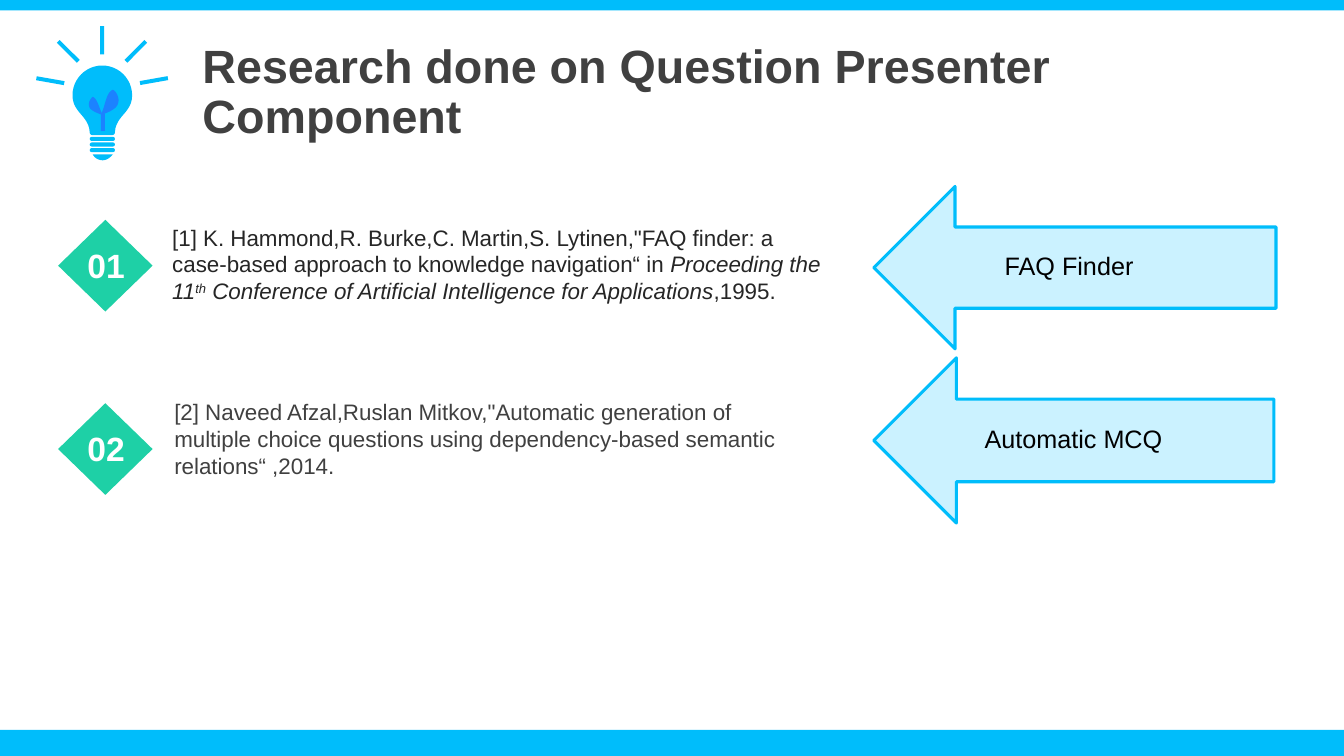
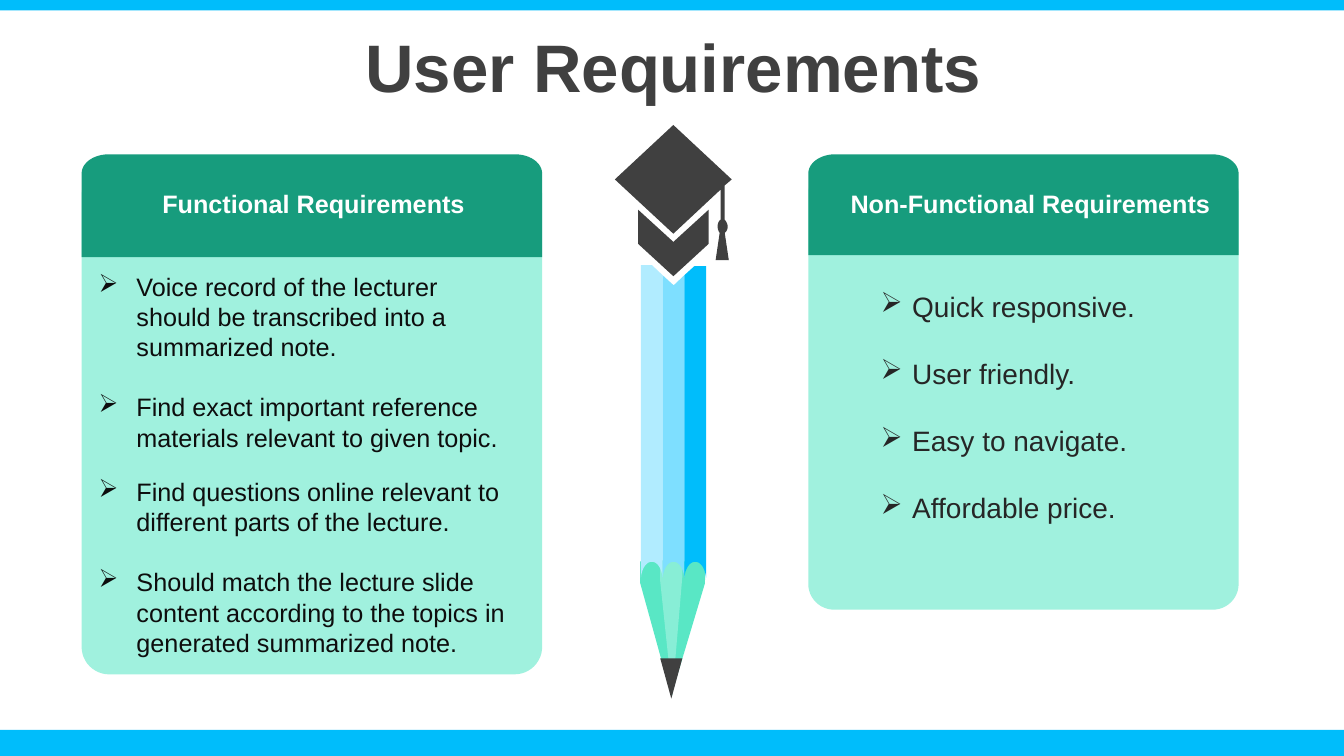
from pptx import Presentation
from pptx.dml.color import RGBColor
from pptx.enum.shapes import MSO_SHAPE
from pptx.enum.text import MSO_ANCHOR, PP_ALIGN
from pptx.util import Pt
from lxml.etree import SubElement
from pptx.oxml.ns import qn

FONT = "Arial"
WIDE, HIGH = 960, 540
HEX = {
    "sky": "00BDFB", "pale": "CBF2FF", "leaf": "1C82FF", "gem": "1ED0A6",
    "head": "179C7D", "mint": "A0F1DE", "dark": "404040", "ink": "262626",
    "near": "0D0D0D", "black": "000000", "white": "FFFFFF",
    "wood": "59E7C5", "grain": "88EED6", "light": "B1ECFF", "mid": "7EDFFF",
}


def color(name):
    return RGBColor.from_string(HEX[name])


def paint(shape, fill, line=None, width=2.25):
    shape.shadow.inherit = False
    shape.fill.solid()
    shape.fill.fore_color.rgb = color(fill)
    if line:
        shape.line.color.rgb = color(line)
        shape.line.width = Pt(width)
    else:
        shape.line.fill.background()


def block(slide, kind, box, fill, line=None, turn=0, round_by=None):
    shape = slide.shapes.add_shape(kind, *map(Pt, box))
    shape.rotation = turn
    if round_by is not None:
        shape.adjustments[0] = round_by
    paint(shape, fill, line)


def curve(start, bend, steps=12):
    a, b, c, d = start, bend[:2], bend[2:4], bend[4:]
    for step in range(1, steps + 1):
        t = step / steps
        u = 1 - t
        yield tuple(u**3 * a[k] + 3 * u * u * t * b[k] + 3 * u * t * t * c[k] + t**3 * d[k]
                    for k in (0, 1))


def outline(slide, path, fill):
    points = [path[0]]
    for part in path[1:]:
        points.extend([part] if len(part) == 2 else curve(points[-1], part))
    pen = slide.shapes.build_freeform(*map(Pt, points[0]))
    pen.add_line_segments([(Pt(x), Pt(y)) for x, y in points[1:]], close=True)
    paint(pen.convert_to_shape(), fill)


def bullet(para, indent):
    props = para._p.get_or_add_pPr()
    props.set("marL", str(Pt(indent)))
    props.set("indent", str(-Pt(indent)))
    SubElement(props, qn("a:buChar")).set("char", "➢")


def write(slide, box, text, size=18, fill="black", bold=False, align=PP_ALIGN.LEFT,
          anchor=MSO_ANCHOR.TOP, leading=None, indent=None, gaps=None):
    frame = slide.shapes.add_textbox(*map(Pt, box)).text_frame
    frame.word_wrap = True
    frame.vertical_anchor = anchor
    for i, item in enumerate([text] if isinstance(text, str) else text):
        para = frame.paragraphs[0] if i == 0 else frame.add_paragraph()
        if indent:
            bullet(para, indent)
        para.alignment = align
        if leading:
            para.line_spacing = leading
        if gaps and i:
            para.space_before = Pt(gaps[i - 1])
        for words, style in [(item, "")] if isinstance(item, str) else item:
            run = para.add_run()
            run.text = words
            font = run.font
            font.name, font.size, font.bold = FONT, Pt(size), bold
            font.color.rgb = color(fill)
            if style:
                font.italic = True
            if style == "super":
                run._r.get_or_add_rPr().set("baseline", "30000")


def start(deck, title, box, size, **style):
    slide = deck.slides.add_slide(deck.slide_layouts[6])
    for top, tall in ((HIGH - 18.7, 18.7), (0, 7.5)):
        block(slide, MSO_SHAPE.RECTANGLE, (0, top, WIDE, tall), "sky")
    write(slide, box, title, size=size, fill="dark", bold=True,
          anchor=MSO_ANCHOR.MIDDLE, **style)
    return slide


def bulb(slide):
    for i in range(3):
        block(slide, MSO_SHAPE.ROUNDED_RECTANGLE, (64.1, 97.8 + 4 * i, 18, 2.9),
              "sky", round_by=0.5)
    outline(slide, [(66.2, 110.2), (80.6, 110.2), (79.2, 112.3, 76.3, 114.5, 73.4, 114.5),
                    (70.6, 114.5, 67.7, 113, 66.2, 110.2)], "sky")
    outline(slide, [(73.1, 46.8), (84.9, 46.8, 94.4, 56.4, 94.4, 68.2),
                    (94.4, 80.5, 82.8, 82.5, 82.1, 94.3), (82.1, 96, 81, 96.5, 79.9, 96.5),
                    (66.3, 96.5), (65.2, 96.5, 64.1, 96, 64.1, 94.3),
                    (63.4, 82.5, 51.8, 80.5, 51.8, 68.2),
                    (51.8, 56.4, 61.3, 46.8, 73.1, 46.8)], "sky")
    for shift, top, turn in ((0, 18.7, 0), (-24.1, 26.6, -45), (24.1, 26.6, 45),
                             (-37, 47.5, -80), (37, 47.5, 80)):
        block(slide, MSO_SHAPE.RECTANGLE, (71.5 + shift, top, 2.9, 20.2), "sky", turn=turn)
    outline(slide, [(80.6, 64.1), (75.6, 66.2, 75.6, 74.9, 72, 82.1),
                    (79.2, 79.9, 83.5, 77, 84.2, 74.2),
                    (85.7, 70.6, 83.5, 65.5, 80.6, 64.1)], "leaf")
    outline(slide, [(66.2, 69.1), (69.8, 70.6, 70.6, 77, 73.4, 82.1),
                    (68.4, 80.6, 64.8, 78.5, 64.1, 77),
                    (62.6, 74.2, 64.1, 71, 66.2, 69.1)], "leaf")
    block(slide, MSO_SHAPE.RECTANGLE, (72, 81.4, 2.9, 12.2), "leaf")


def source(slide, number, top, text, box, fill):
    block(slide, MSO_SHAPE.DIAMOND, (41.5, top, 67.5, 65.5), "gem")
    write(slide, (50.8, top + 14.4, 50, 36), number, size=24, fill="white", bold=True,
          align=PP_ALIGN.CENTER)
    write(slide, box, text, size=16, fill=fill)


def arrow(slide, box, label, left, top):
    block(slide, MSO_SHAPE.LEFT_ARROW, box, "pale", line="sky")
    write(slide, (left, top, 235, 36), label)


def card(slide, left, wide, tall, cap):
    right, top, low = left + wide, 110.2, 110.2 + cap
    block(slide, MSO_SHAPE.ROUNDED_RECTANGLE, (left, 119.5, wide, tall), "mint",
          round_by=0.06)
    outline(slide, [(right - 19.5, top), (left + 19.5, top),
                    (left + 8.5, top, left, top + 6.2, left, top + 13.8),
                    (left, low), (right, low), (right, top + 13.8),
                    (right, top + 6.2, right - 8.5, top, right - 19.5, top)], "head")


def pencil(slide):
    outline(slide, [(457.2, 401), (504, 401), (503.5, 416.9), (479.5, 496.8),
                    (457.2, 416.2)], "wood")
    outline(slide, [(471.6, 400.3), (487.4, 400.3), (487.4, 411.8), (480.2, 496.8),
                    (471.6, 415.4)], "grain")
    wide, low, peak = 15.5, 412.6, 401.3
    tops = (("light", [(0, 189.4), (7.9, 189.4), (wide, 196.6)]),
            ("mid", [(0, 196.6), (7.9, 203.8), (wide, 196.6)]),
            ("sky", [(0, 196.6), (7.2, 190.1), (wide, 190.1)]))
    for i, (fill, edge) in enumerate(tops):
        x = 457.8 + wide * i
        outline(slide, [(x + dx, y) for dx, y in edge] + [
            (x + wide, low), (x + 14.8, 406, x + 11.8, peak, x + 7.8, peak),
            (x + 3.8, peak, x + 0.7, 406, x, low)], fill)
    block(slide, MSO_SHAPE.ISOSCELES_TRIANGLE, (471.6, 470.2, 15.8, 28.8), "dark", turn=180)


def hat(slide):
    outline(slide, [(455.8, 149.8), (481, 172.8), (506.2, 149.8), (506.2, 174.2),
                    (481, 197.3), (455.8, 174.2)], "dark")
    outline(slide, [(481, 89.3), (522.7, 128.2), (517.7, 132.5), (517.7, 157),
                    (518.4, 157.7, 519.8, 159.8, 519.8, 162),
                    (519.8, 163.4, 519.1, 165.6, 517.7, 166.3), (520.6, 185.8),
                    (511.2, 185.8), (514.1, 166.3),
                    (513.4, 165.6, 512.6, 163.4, 512.6, 162),
                    (512.6, 159.8, 513.4, 157.7, 514.8, 157), (514.8, 135.4),
                    (481, 167), (439.2, 128.2)], "dark")


def research(deck):
    slide = start(deck, "Research done on Question Presenter Component",
                  (137.5, 38.9, 810, 55.4), 33.3, leading=0.9)
    bulb(slide)
    source(slide, "01", 157, [[
        ('[1] K. Hammond,R. Burke,C. Martin,S. Lytinen,"FAQ finder: a case-based approach '
         'to knowledge navigation“ in ', ""),
        ("Proceeding the 11", "italic"), ("th", "super"),
        (" Conference of Artificial Intelligence for Applications", "italic"),
        (",1995.", "")]], (115.9, 156.2, 478, 65.5), "ink")
    source(slide, "02", 288,
           '[2] Naveed Afzal,Ruslan Mitkov,"Automatic generation of multiple choice questions '
           'using dependency-based semantic relations“ ,2014.',
           (117.4, 280.8, 471, 65.5), "dark")
    arrow(slide, (624.2, 133.2, 287.3, 116), "FAQ Finder", 710.6, 175)
    arrow(slide, (624.2, 255.6, 285.8, 118), "Automatic MCQ", 696.2, 298.8)


def needs(deck):
    slide = start(deck, "User Requirements", (25.2, 23.8, 911.5, 56.9), 48,
                  align=PP_ALIGN.CENTER, leading=0.8)
    card(slide, 577.4, 307.4, 316, 72)
    write(slide, (622, 203, 213, 211), [
        "Quick responsive.", "User friendly.", "Easy to navigate.", "Affordable price.",
    ], size=20, fill="ink", indent=22.5, gaps=[24] * 3)
    write(slide, (600.5, 131, 278.6, 29), "Non-Functional Requirements", fill="white", bold=True)
    pencil(slide)
    hat(slide)
    card(slide, 58.3, 329, 362.2, 73.4)
    write(slide, (67, 131, 314, 29), "Functional Requirements", fill="white", bold=True,
          align=PP_ALIGN.CENTER)
    write(slide, (63.4, 190, 306.7, 290), [
        "Voice record of the lecturer should be transcribed into a summarized note.",
        "Find exact important reference materials relevant to given topic.",
        "Find questions online relevant to different parts of the lecture.",
        "Should match the lecture slide content according to the topics in generated "
        "summarized note.",
    ], fill="near", indent=27, gaps=(21.5, 17, 21.5))


def main():
    deck = Presentation()
    deck.slide_width, deck.slide_height = Pt(WIDE), Pt(HIGH)
    research(deck)
    needs(deck)
    deck.save("out.pptx")


if __name__ == "__main__":
    main()
